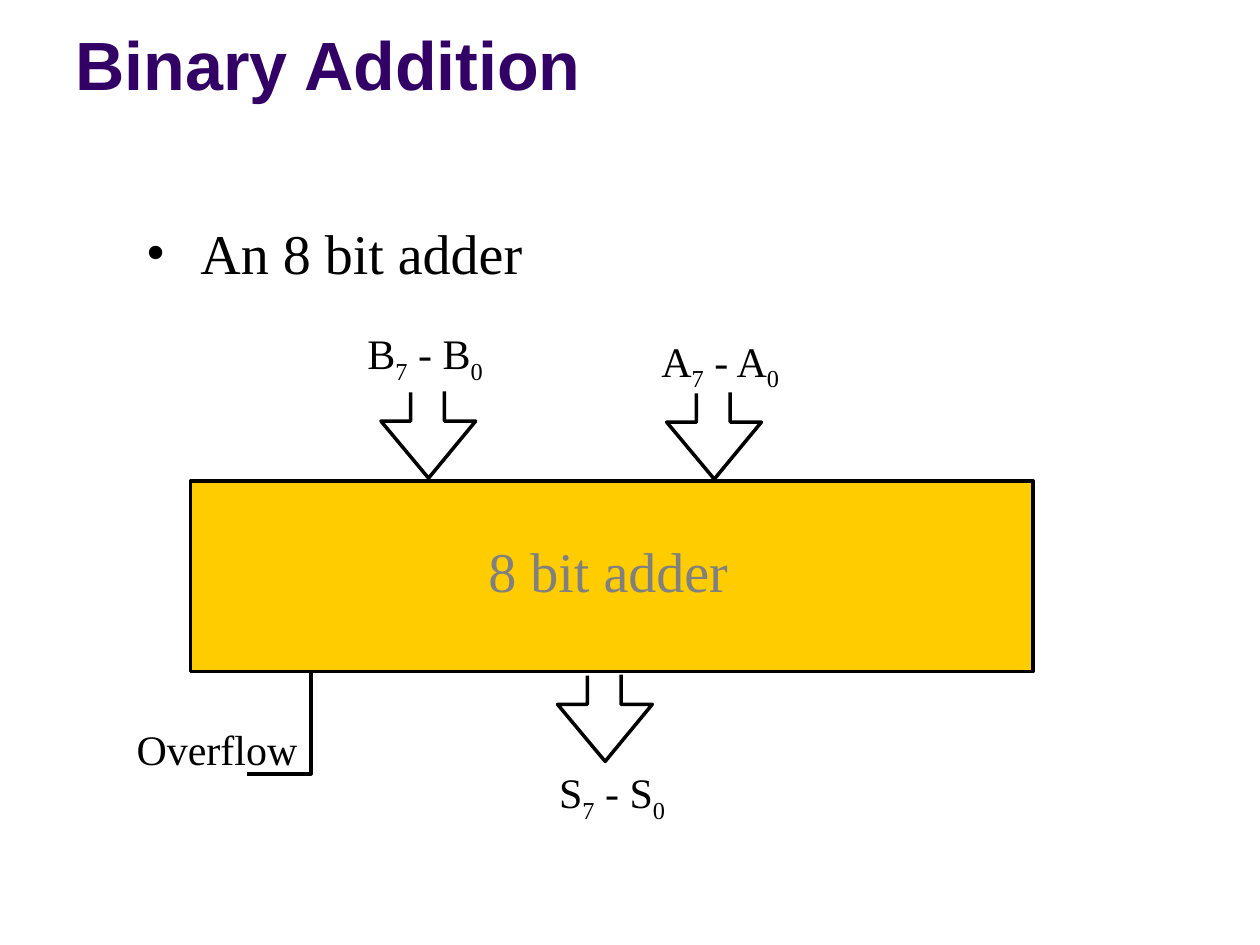
from lxml import etree
from pptx import Presentation, util as u
from pptx.dml.color import RGBColor
from pptx.enum import shapes, text
from pptx.oxml.ns import qn

BLACK = RGBColor(0x00, 0x00, 0x00)
PURPLE = RGBColor(0x33, 0x00, 0x66)
GOLD = RGBColor(0xFF, 0xCC, 0x00)
GREY = RGBColor(0x80, 0x80, 0x80)

deck = Presentation()
deck.slide_width, deck.slide_height = u.Cm(25.4), u.Cm(19.05)
slide = deck.slides.add_slide(deck.slide_layouts[6])


def add_text(words, left, top, width, height, size=24, font="Times New Roman",
             color=BLACK, bold=False, align=text.PP_ALIGN.CENTER,
             anchor=text.MSO_ANCHOR.MIDDLE, wrap=False):
    """Add a text box; each "_" in words lowers the one character after it."""
    box = slide.shapes.add_textbox(u.Cm(left), u.Cm(top), u.Cm(width), u.Cm(height))
    frame = box.text_frame
    frame.word_wrap = wrap
    frame.vertical_anchor = anchor
    if not wrap:
        frame.margin_left = frame.margin_right = 0
    line = frame.paragraphs[0]
    line.alignment = align
    first, *rest = words.split("_")
    pieces = [(first, False)]
    for part in rest:
        pieces += [(part[0], True), (part[1:], False)]
    for piece, lowered in pieces:
        if piece:
            run = line.add_run()
            run.text = piece
            run.font.size = u.Pt(size)
            run.font.name = font
            run.font.bold = bold
            run.font.color.rgb = color
            if lowered:
                run.font._element.set("baseline", "-25000")
    return line


def add_outline(points):
    """Draw an open, unfilled line through points given in centimetres."""
    start, *others = [(u.Cm(x), u.Cm(y)) for x, y in points]
    builder = slide.shapes.build_freeform(*start)
    builder.add_line_segments(others, close=False)
    outline = builder.convert_to_shape()
    outline.shadow.inherit = False
    outline.fill.background()
    outline.line.color.rgb = BLACK
    outline.line.width = u.Pt(2)


# Title and bullet
add_text("Binary Addition", 1.27, 0.33, 18.64, 3.6, size=39, font="Arial", color=PURPLE,
         bold=True, align=text.PP_ALIGN.LEFT, anchor=text.MSO_ANCHOR.TOP, wrap=True)
bullet = add_text("An 8 bit adder", 2.69, 4.27, 18.8, 1.63, size=32,
                  align=text.PP_ALIGN.LEFT, wrap=True)
bullet_format = bullet._p.get_or_add_pPr()
bullet_format.set("marL", str(u.Cm(1.1)))
bullet_format.set("indent", str(u.Cm(-1.1)))
etree.SubElement(bullet_format, qn("a:buFont")).set("typeface", "Times New Roman")
etree.SubElement(bullet_format, qn("a:buChar")).set("char", "•")

# Adder block
adder = slide.shapes.add_shape(shapes.MSO_SHAPE.RECTANGLE,
                               u.Cm(3.84), u.Cm(9.7), u.Cm(16.99), u.Cm(3.84))
adder.shadow.inherit = False
adder.fill.solid()
adder.fill.fore_color.rgb = GOLD
adder.line.color.rgb = BLACK
adder.line.width = u.Pt(2)
add_text("8 bit adder", 9.6, 10.67, 5.33, 1.63, size=32, color=GREY)

# Inputs and sum: open arrows placed by their tips, with bus labels
ARROW = [(-0.36, -1.73), (-0.36, -1.15), (-0.96, -1.15), (0, 0),
         (0.95, -1.15), (0.32, -1.15), (0.32, -1.75)]
buses = [
    ("B", 8.64, 9.64, 7.16, 6.48, 2.82),
    ("A", 14.4, 9.66, 13.06, 6.63, 2.92),
    ("S", 12.2, 15.35, 11.02, 15.32, 2.64),
]
for bus, tip_x, tip_y, left, top, width in buses:
    add_outline([(tip_x + dx, tip_y + dy) for dx, dy in ARROW])
    add_text(f"{bus}_7 - {bus}_0", left, top, width, 1.42)

# Overflow output
add_outline([(6.27, 13.54), (6.27, 15.6), (4.98, 15.6)])
add_text("Overflow", 2.51, 14.45, 3.73, 1.27)

deck.save("out.pptx")
